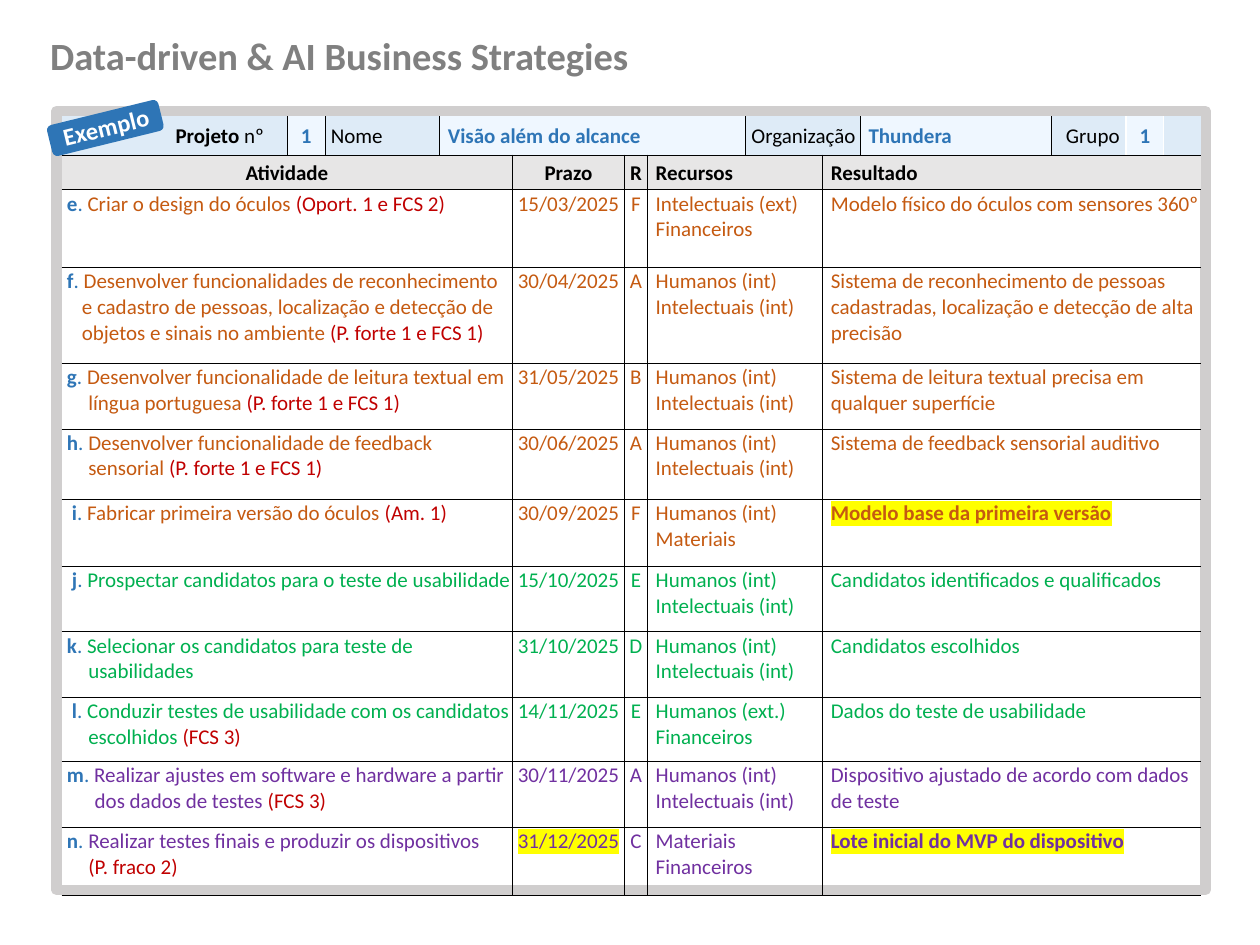
from lxml import etree
from pptx import Presentation
from pptx.dml.color import RGBColor
from pptx.enum.shapes import MSO_SHAPE
from pptx.enum.text import MSO_ANCHOR, PP_ALIGN
from pptx.oxml.ns import qn
from pptx.util import Cm, Pt

LEFT, CENTER = PP_ALIGN.LEFT, PP_ALIGN.CENTER
MIDDLE, TOP = MSO_ANCHOR.MIDDLE, MSO_ANCHOR.TOP
FONT = "Calibri"
COLORS = {
    "black": "000000", "white": "FFFFFF", "title": "808080", "frame": "D0CECE",
    "label": "DEEBF7", "value": "EFF7FF", "heading": "E7E6E6", "blue": "2E75B6",
    "reference": "C00000", "build": "C55A11", "test": "00B050",
    "finish": "7030A0", "highlight": "FFFF00",
}
TITLE = "Data-driven & AI Business Strategies"
BADGE = "Exemplo"

COLUMN_WIDTHS = [4.55, 0.76, 2.31, 1.47, 2.26, 0.46, 1.98, 1.55, 0.76, 3.86, 1.5, 0.76, 0.76]
ROW_HEIGHTS = [0.69, 0.69, 1.57, 1.93, 1.32, 1.42, 1.35, 1.32, 1.32, 1.3, 1.32, 1.37]
THIN, THICK, GAP = ("black", 0.25), ("black", 1), ("white", 1)
INDENT = 0.14

# span, runs, fill, alignment, indent, right border
PROJECT = [
    (1, [("Projeto ", "black", True), ("nº", "black", False)], "label", LEFT, 2.27, THIN),
    (1, [("1", "blue", True)], "value", CENTER, 0, THIN),
    (1, [("Nome", "black", False)], "label", LEFT, 0.09, THIN),
    (4, [("Visão além do alcance", "blue", True)], "value", LEFT, INDENT, THICK),
    (2, [("Organização", "black", False)], "label", LEFT, 0.09, THIN),
    (1, [("Thundera", "blue", True)], "value", LEFT, INDENT, THICK),
    (1, [("Grupo", "black", False)], "label", LEFT, 0.26, GAP),
    (1, [("1", "blue", True)], "value", CENTER, 0, GAP),
    (1, [], "label", LEFT, 0, None),
]
HEADINGS = [("Atividade", 4, CENTER), ("Prazo", 1, CENTER), ("R", 1, CENTER),
            ("Recursos", 2, LEFT), ("Resultado", 5, LEFT)]

INTERNAL = ["Humanos (int)", "Intelectuais (int)"]
# letter, phase, activity, reference, deadline, responsible, resources, result
ACTIVITIES = [
    ("e", "build", "Criar o design do óculos ", "(Oport. 1 e FCS 2)", "15/03/2025", "F",
     ["Intelectuais (ext)", "Financeiros"], "Modelo físico do óculos com sensores 360º"),
    ("f", "build", "Desenvolver funcionalidades de reconhecimento e cadastro de pessoas, "
     "localização e detecção de objetos e sinais no ambiente ", "(P. forte 1 e FCS 1)",
     "30/04/2025", "A", INTERNAL, "Sistema de reconhecimento de pessoas cadastradas, "
     "localização e detecção de alta precisão"),
    ("g", "build", "Desenvolver funcionalidade de leitura textual em língua portuguesa ",
     "(P. forte 1 e FCS 1)", "31/05/2025", "B", INTERNAL,
     "Sistema de leitura textual precisa em qualquer superfície"),
    ("h", "build", "Desenvolver funcionalidade de feedback sensorial ",
     "(P. forte 1 e FCS 1)", "30/06/2025", "A", INTERNAL,
     "Sistema de feedback sensorial auditivo"),
    ("i", "build", "Fabricar primeira versão do óculos ", "(Am. 1)", "30/09/2025", "F",
     ["Humanos (int)", "Materiais"], "Modelo base da primeira versão"),
    ("j", "test", "Prospectar candidatos para o teste de usabilidade", "", "15/10/2025", "E",
     INTERNAL, "Candidatos identificados e qualificados"),
    ("k", "test", "Selecionar os candidatos para teste de usabilidades", "", "31/10/2025", "D",
     INTERNAL, "Candidatos escolhidos"),
    ("l", "test", "Conduzir testes de usabilidade com os candidatos escolhidos ", "(FCS 3)",
     "14/11/2025", "E", ["Humanos (ext.)", "Financeiros"], "Dados do teste de usabilidade"),
    ("m", "finish", "Realizar ajustes em software e hardware a partir dos dados de testes ",
     "(FCS 3)", "30/11/2025", "A", INTERNAL,
     "Dispositivo ajustado de acordo com dados de teste"),
    ("n", "finish", "Realizar testes finais e produzir os dispositivos\n", "(P. fraco 2)",
     "31/12/2025", "C", ["Materiais", "Financeiros"], "Lote inicial do MVP do dispositivo"),
]
MILESTONES = {"Modelo base da primeira versão", "Lote inicial do MVP do dispositivo"}
HIGHLIGHTS = MILESTONES | {"31/12/2025"}
HANGING = {"f": 0.38, "m": 0.64}
NARROW_LETTERS = "ijl"


def rgb(name):
    return RGBColor.from_string(COLORS[name])


def add_runs(paragraph, runs, size=12):
    for text, color, bold in runs:
        run = paragraph.add_run()
        run.text = text.rstrip("\n")
        run.font.size, run.font.bold = Pt(size), bold
        run.font.color.rgb = rgb(color)
        if text in HIGHLIGHTS:
            mark = etree.SubElement(run.font._element, qn("a:highlight"))
            etree.SubElement(mark, qn("a:srgbClr"), val=COLORS["highlight"])
        run.font.name = FONT
        if text.endswith("\n"):
            paragraph.add_line_break()


def set_borders(cell, borders):
    properties = cell._tc.get_or_add_tcPr()
    for index, (side, border) in enumerate(zip("LRTB", borders)):
        line = etree.Element(qn(f"a:ln{side}"))
        if border:
            color, width = border
            line.set("w", str(Pt(width)))
            fill = etree.SubElement(line, qn("a:solidFill"))
            etree.SubElement(fill, qn("a:srgbClr"), val=COLORS[color])
        else:
            line.set("w", "0")
            etree.SubElement(line, qn("a:noFill"))
        properties.insert(index, line)


def fill_cell(table, row, column, span, lines, borders, fill=None, align=LEFT,
              indent=0.0, first=0.0, anchor=TOP):
    cell = table.cell(row, column)
    if span > 1:
        cell.merge(table.cell(row, column + span - 1))
    cell.margin_left = cell.margin_right = cell.margin_top = Cm(0.03)
    cell.margin_bottom = 0
    cell.vertical_anchor = anchor
    if fill:
        cell.fill.solid()
        cell.fill.fore_color.rgb = rgb(fill)
    else:
        cell.fill.background()
    set_borders(cell, borders)
    for index, runs in enumerate(lines):
        paragraph = cell.text_frame.add_paragraph() if index else cell.text_frame.paragraphs[0]
        paragraph.alignment = align
        properties = paragraph._p.get_or_add_pPr()
        properties.set("marL", str(Cm(indent)))
        properties.set("indent", str(Cm(first)))
        add_runs(paragraph, runs)


def fill_table(table):
    column, left = 0, None
    for span, runs, fill, align, indent, right in PROJECT:
        fill_cell(table, 0, column, span, [runs], (left, right, None, THICK), fill,
                  align, indent, anchor=MIDDLE)
        column, left = column + span, right

    column = 0
    layout = []
    for heading, span, align in HEADINGS:
        sides = (THICK if column else None,
                 THICK if column + span < len(COLUMN_WIDTHS) else None)
        indent = INDENT if align == LEFT else 0
        fill_cell(table, 1, column, span, [[(heading, "black", True)]],
                  (*sides, THICK, THIN), "heading", align, indent, anchor=MIDDLE)
        layout.append((column, span, sides, align, indent))
        column += span

    for row, activity in enumerate(ACTIVITIES, 2):
        letter, phase, task, reference, deadline, responsible, resources, result = activity
        description = [(letter, "blue", True), (". ", "blue", False), (task, phase, False)]
        if reference:
            description.append((reference, "reference", False))
        plain = [[deadline], [responsible], resources, [result]]
        contents = [[description]] + [
            [[(text, phase, text in MILESTONES)] for text in texts] for texts in plain]
        for (column, span, sides, align, indent), lines in zip(layout, contents):
            first = 0
            if column == 0:
                align, indent = LEFT, HANGING.get(letter, 0.51)
                first = (0.18 if letter in NARROW_LETTERS else 0.08) - indent
            fill_cell(table, row, column, span, lines, (*sides, THIN, THIN),
                      align=align, indent=indent, first=first)


def main():
    presentation = Presentation()
    presentation.slide_width, presentation.slide_height = Cm(25.4), Cm(19.05)
    slide = presentation.slides.add_slide(presentation.slide_layouts[6])
    shapes = slide.shapes

    frame = shapes.add_shape(MSO_SHAPE.RECTANGLE, Cm(1.14), Cm(2.24), Cm(23.16), Cm(15.7))
    frame.shadow.inherit = False
    frame.fill.background()
    frame.line.color.rgb = rgb("frame")
    frame.line.width = Pt(6)

    title = shapes.add_textbox(Cm(0.76), Cm(0.53), Cm(13.13), Cm(1.19)).text_frame
    title.word_wrap = True
    title.paragraphs[0].space_after = Pt(2)
    add_runs(title.paragraphs[0], [(TITLE, "title", True)], 22)

    plan = shapes.add_table(len(ROW_HEIGHTS), len(COLUMN_WIDTHS), Cm(1.24), Cm(2.34),
                            Cm(sum(COLUMN_WIDTHS)), Cm(sum(ROW_HEIGHTS))).table
    plan.first_row = plan.horz_banding = False
    for column, width in zip(plan.columns, COLUMN_WIDTHS):
        column.width = Cm(width)
    for row, height in zip(plan.rows, ROW_HEIGHTS):
        row.height = Cm(height)
    fill_table(plan)

    badge = shapes.add_shape(MSO_SHAPE.ROUNDED_RECTANGLE, Cm(0.97), Cm(2.26), Cm(2.31), Cm(0.64))
    badge.shadow.inherit = False
    badge.fill.solid()
    badge.fill.fore_color.rgb = rgb("blue")
    badge.line.fill.background()
    label = shapes.add_textbox(Cm(0.99), Cm(2.13), Cm(2.29), Cm(0.86))
    badge.rotation = label.rotation = 346.2
    label.text_frame.word_wrap = False
    label.text_frame.paragraphs[0].alignment = CENTER
    add_runs(label.text_frame.paragraphs[0], [(BADGE, "white", True)], 14)

    presentation.save("out.pptx")


if __name__ == "__main__":
    main()
